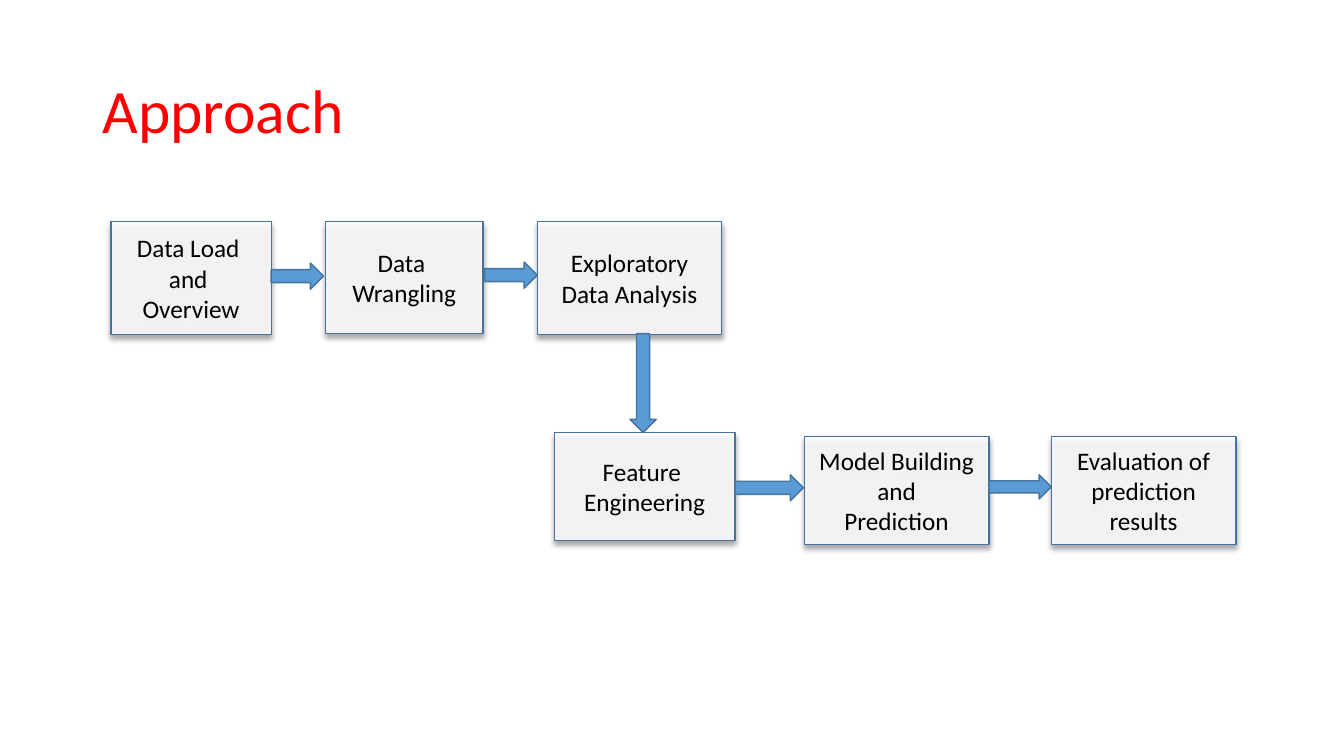
import pptx
import pptx.dml.color
import pptx.enum.shapes
import pptx.enum.text
import pptx.oxml
import pptx.oxml.ns
import pptx.util

SHAPES = pptx.enum.shapes.MSO_SHAPE
ALIGN = pptx.enum.text.PP_ALIGN
SHADOW = (
    f'<a:outerShdw {pptx.oxml.ns.nsdecls("a")} blurRad="50800" dist="38100" '
    'dir="5400000" algn="t" rotWithShape="0">'
    '<a:srgbClr val="000000"><a:alpha val="40000"/></a:srgbClr></a:outerShdw>'
)
ALPHA = f'<a:alpha {pptx.oxml.ns.nsdecls("a")} val="85000"/>'


def color(value):
    return pptx.dml.color.RGBColor.from_string(value)


class FlowSlide:
    columns, rows = 160, 90
    font = "Calibri"
    outline, arrow_fill, step_fill = "43739E", "5B9BD5", "FFFFFF"

    def __init__(self, presentation):
        self.column = presentation.slide_width / self.columns
        self.row = presentation.slide_height / self.rows
        self.slide = presentation.slides.add_slide(presentation.slide_layouts[6])

    def place(self, left, top, width, height):
        return (round(left * self.column), round(top * self.row),
                round(width * self.column), round(height * self.row))

    def add_lines(self, shape, lines, size, text_color, alignment, spacing=1.0):
        frame = shape.text_frame
        frame.word_wrap = True
        frame.vertical_anchor = pptx.enum.text.MSO_ANCHOR.MIDDLE
        for index, line in enumerate(lines):
            paragraph = frame.add_paragraph() if index else frame.paragraphs[0]
            paragraph.alignment = alignment
            paragraph.line_spacing = spacing
            run = paragraph.add_run()
            run.text = line
            run.font.name = self.font
            run.font.size = pptx.util.Pt(size)
            run.font.color.rgb = color(text_color)

    def title(self, text, *box):
        shape = self.slide.shapes.add_textbox(*self.place(*box))
        self.add_lines(shape, [text], 44, "FF0000", ALIGN.LEFT, 0.9)

    def block(self, kind, fill, box):
        shape = self.slide.shapes.add_shape(kind, *self.place(*box))
        shape.shadow.inherit = False
        shape.fill.solid()
        shape.fill.fore_color.rgb = color(fill)
        shape.line.color.rgb = color(self.outline)
        shape.line.width = pptx.util.Pt(1)
        return shape

    def step(self, lines, *box):
        shape = self.block(SHAPES.FLOWCHART_PROCESS, self.step_fill, box)
        properties = shape.element.spPr
        fill_color = properties.find(
            f'{pptx.oxml.ns.qn("a:solidFill")}/{pptx.oxml.ns.qn("a:srgbClr")}')
        fill_color.append(pptx.oxml.parse_xml(ALPHA))
        effects = properties.find(pptx.oxml.ns.qn("a:effectLst"))
        effects.append(pptx.oxml.parse_xml(SHADOW))
        self.add_lines(shape, lines, 18, "000000", ALIGN.CENTER)

    def arrow(self, *box, rotation=0):
        shape = self.block(SHAPES.RIGHT_ARROW, self.arrow_fill, box)
        shape.rotation = rotation


def main():
    presentation = pptx.Presentation()
    presentation.slide_width = pptx.util.Inches(13.33)
    presentation.slide_height = pptx.util.Inches(7.5)
    flow = FlowSlide(presentation)

    flow.title("Approach", 11.04, 4.8, 138, 17.4)

    upper, lower = 26.4, 51.96
    flow.step(["Data Load ", "and ", "Overview"], 13.2, upper, 19.1, 13.4)
    flow.step(["Data ", "Wrangling"], 38.76, upper, 18.72, 13.3)
    flow.step(["Exploratory Data Analysis"], 63.96, upper, 21.96, 13.4)
    flow.step(["Feature ", "Engineering"], 66, 51.48, 21.48, 12.84)
    flow.step(["Model Building", "and", "Prediction"], 95.76, lower, 21.96, 12.84)
    flow.step(["Evaluation of", "prediction results"], 125.16, lower, 21.96, 12.84)

    flow.arrow(32.28, 31.32, 6.24, 3.12)
    flow.arrow(57.72, 31.2, 6.24, 3.12)
    flow.arrow(70.68, 44.04, 11.76, 3.12, rotation=90)
    flow.arrow(87.48, 56.52, 8.16, 3.12)
    flow.arrow(117.72, 56.52, 7.44, 2.88)

    presentation.save("out.pptx")


if __name__ == "__main__":
    main()
